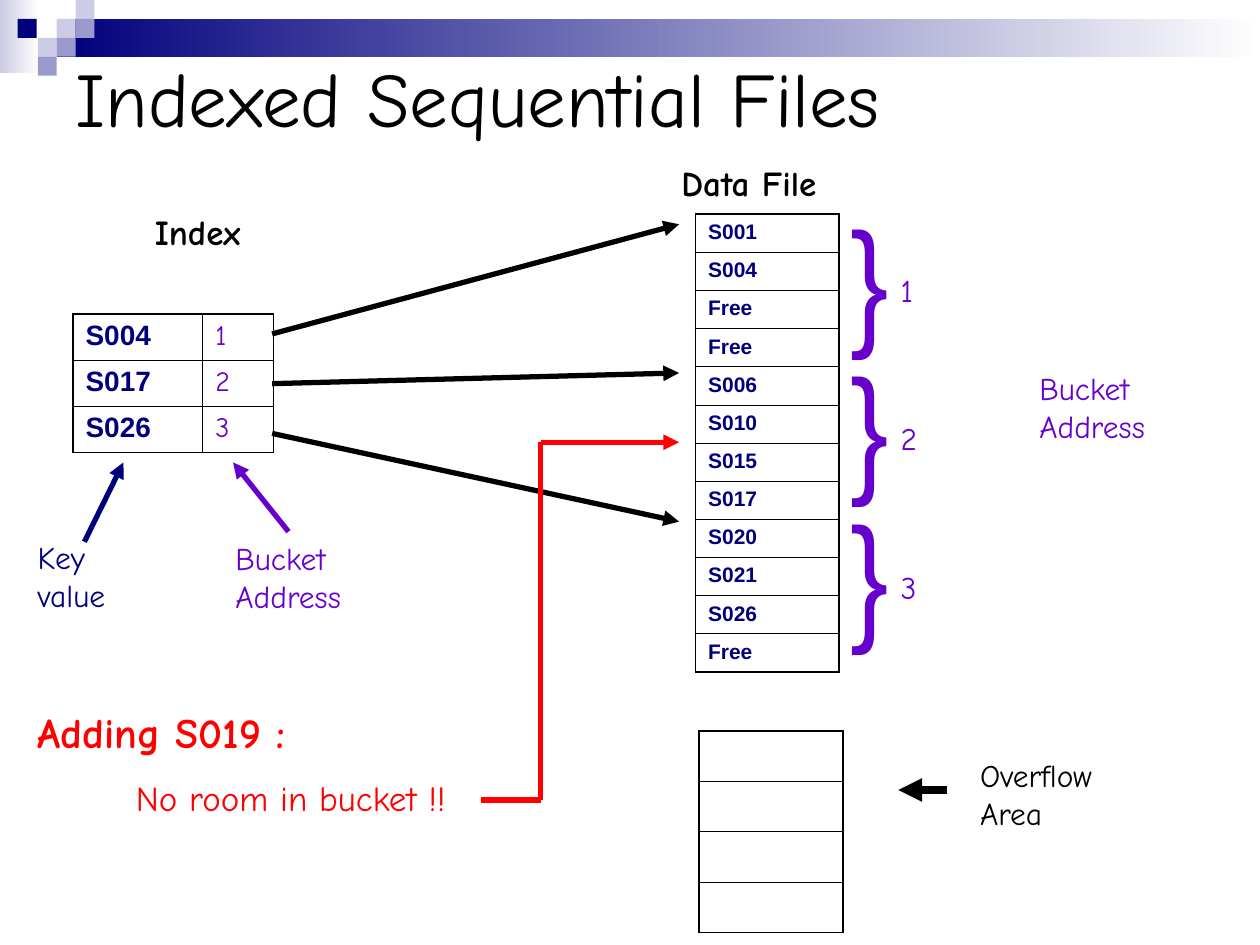
from lxml import etree
from pptx import Presentation
from pptx.dml.color import RGBColor
from pptx.enum.shapes import MSO_CONNECTOR as CONN, MSO_SHAPE as SHAPE
from pptx.enum.text import MSO_ANCHOR as ANCHOR
from pptx.oxml.ns import qn
from pptx.util import Inches, Pt

COLORS = {
    "black": "000000", "white": "FFFFFF", "navy": "00007D", "purple": "6600CC",
    "red": "FF0000", "lilac": "CCCCE6", "lavender": "9999CC",
}
HAND, SANS, NARROW = "Comic Neue", "Arial", "Arial Narrow"
COLS, ROWS = 100, 75  # grid over the slide


class Deck:
    def __init__(self, width=10, height=7.5):
        self.prs = Presentation()
        self.prs.slide_width, self.prs.slide_height = Inches(width), Inches(height)
        self.slide = self.prs.slides.add_slide(self.prs.slide_layouts[6])

    def x(self, cols):
        return round(self.prs.slide_width * cols / COLS)

    def y(self, rows):
        return round(self.prs.slide_height * rows / ROWS)

    def area(self, left, top, width, height):
        return self.x(left), self.y(top), self.x(width), self.y(height)

    def color(self, name):
        return RGBColor.from_string(COLORS[name])

    def run(self, p, text, size, color, font=HAND, bold=False):
        r = p.add_run()
        r.text = text
        r.font.size, r.font.name, r.font.bold = Pt(size), font, bold
        r.font.color.rgb = self.color(color)

    def text(self, area, text, size=18, color="black", anchor=ANCHOR.TOP, **style):
        tf = self.slide.shapes.add_textbox(*self.area(*area)).text_frame
        tf.word_wrap, tf.vertical_anchor = True, anchor
        self.run(tf.paragraphs[0], text, size, color, **style)

    def block(self, area, color, fade_to=None):
        sp = self.slide.shapes.add_shape(SHAPE.RECTANGLE, *self.area(*area))
        sp.shadow.inherit = False
        sp.line.fill.background()
        if fade_to:
            sp.fill.gradient()
            sp.fill.gradient_angle = 0
            for stop, name in zip(sp.fill.gradient_stops, (color, fade_to)):
                stop.color.rgb = self.color(name)
        else:
            sp.fill.solid()
            sp.fill.fore_color.rgb = self.color(color)

    def line(self, start, end, color="black", width=3, arrow=True):
        cx = self.slide.shapes.add_connector(
            CONN.STRAIGHT, self.x(start[0]), self.y(start[1]), self.x(end[0]), self.y(end[1]))
        cx.line.width = Pt(width)
        cx.line.color.rgb = self.color(color)
        if arrow:
            etree.SubElement(cx.line._ln, qn("a:tailEnd"), type="triangle")
        etree.SubElement(cx._element.spPr, qn("a:effectLst"))

    def border(self, cell, side, width):
        ln = etree.SubElement(cell._tc.get_or_add_tcPr(), qn("a:ln" + side), w=str(Pt(width)))
        fill = etree.SubElement(ln, qn("a:solidFill"))
        etree.SubElement(fill, qn("a:srgbClr"), val=COLORS["black"])

    def table(self, left, top, widths, row_height, rows, styles):
        area = self.area(left, top, sum(widths), row_height * len(rows))
        table = self.slide.shapes.add_table(len(rows), len(widths), *area).table
        table.first_row = table.horz_banding = False
        for column, width in zip(table.columns, widths):
            column.width = self.x(width)
        for i, row in enumerate(rows):
            table.rows[i].height = self.y(row_height)
            for j, text in enumerate(row):
                cell = table.cell(i, j)
                edges = {"L": j == 0, "R": j == len(widths) - 1,
                         "T": i == 0, "B": i == len(rows) - 1}
                for side, outer in edges.items():
                    self.border(cell, side, 1.08 if outer else 0.45)
                cell.fill.background()
                if text:
                    self.run(cell.text_frame.paragraphs[0], text, **styles[j])


def main():
    deck = Deck()

    # Header band and corner squares
    deck.block((0, 0, 3.1, 5.8), "lilac", fade_to="white")
    deck.block((4.5, 1.5, 95.5, 3), "navy", fade_to="white")
    for left, top, color in [(4.5, 1.5, "lilac"), (6, 0, "lilac"), (6, 1.5, "lavender"),
                             (3, 3, "lilac"), (1.4, 1.5, "navy"), (4.5, 3, "lavender"),
                             (3, 4.5, "lavender")]:
        deck.block((left, top, 1.5, 1.5), color)
    deck.text((5, 2.1, 90, 11.2), "Indexed Sequential Files", 44, anchor=ANCHOR.MIDDLE)

    # Index, data file and overflow tables
    key = dict(size=16, color="navy", font=SANS, bold=True)
    address = dict(size=16, color="purple")
    record = dict(key, size=12)
    deck.table(5.8, 24.9, [10.3, 5.6], 3.67,
               [("S004", "1"), ("S017", "2"), ("S026", "3")], [key, address])
    records = ["S001", "S004", "Free", "Free", "S006", "S010",
               "S015", "S017", "S020", "S021", "S026", "Free"]
    deck.table(55.2, 17, [11.4], 3.03, [(name,) for name in records], [record])
    deck.table(55.5, 58, [11.4], 3.05, [("",)] * 4, [record])

    # Labels
    deck.text((11.3, 16.2, 11.8, 4.4), "Index", 20, bold=True)
    deck.text((53.1, 12.3, 19.7, 4.4), "Data File", 20, bold=True)
    deck.text((2, 42.2, 11.8, 7), "Key value", color="navy")
    deck.text((17.7, 42.3, 13.4, 7), "Bucket Address", color="purple")
    deck.text((81.5, 28.8, 11.8, 7), "Bucket Address", color="purple")
    deck.text((76.8, 59.5, 13.4, 7), "Overflow Area")

    # Buckets: brace, number and arrow from the index
    for i in range(3):
        step = 11.8 * i
        deck.text((66.5, 14.7 + 11.7 * i, 7.1, 14.4), "}", 80, "purple", font=NARROW)
        deck.text((70.5, 21 + step, 3.9, 4), str(i + 1), color="purple")
        deck.line((21.6, 26.5 + 3.95 * i), (53.9, 17.8 + step))

    # Pointers to the labels
    deck.line((75.2, 62.7), (71.3, 62.7), width=4.5)
    deck.line((6.7, 43), (9.8, 36.7), "navy")
    deck.line((22.9, 42.2), (18.5, 36.7), "purple")

    # Adding a record
    deck.text((2, 55.6, 29.1, 5), "Adding S019 :", 24, "red", bold=True)
    deck.text((9.8, 61.1, 30.7, 4.4), "No room in bucket !!", 20, "red")
    route = [(38.2, 63.5), (42.9, 63.5), (42.9, 35.1), (53.9, 35.1)]
    for start, end in zip(route, route[1:]):
        deck.line(start, end, "red", arrow=end == route[-1])

    deck.prs.save("out.pptx")


if __name__ == "__main__":
    main()
